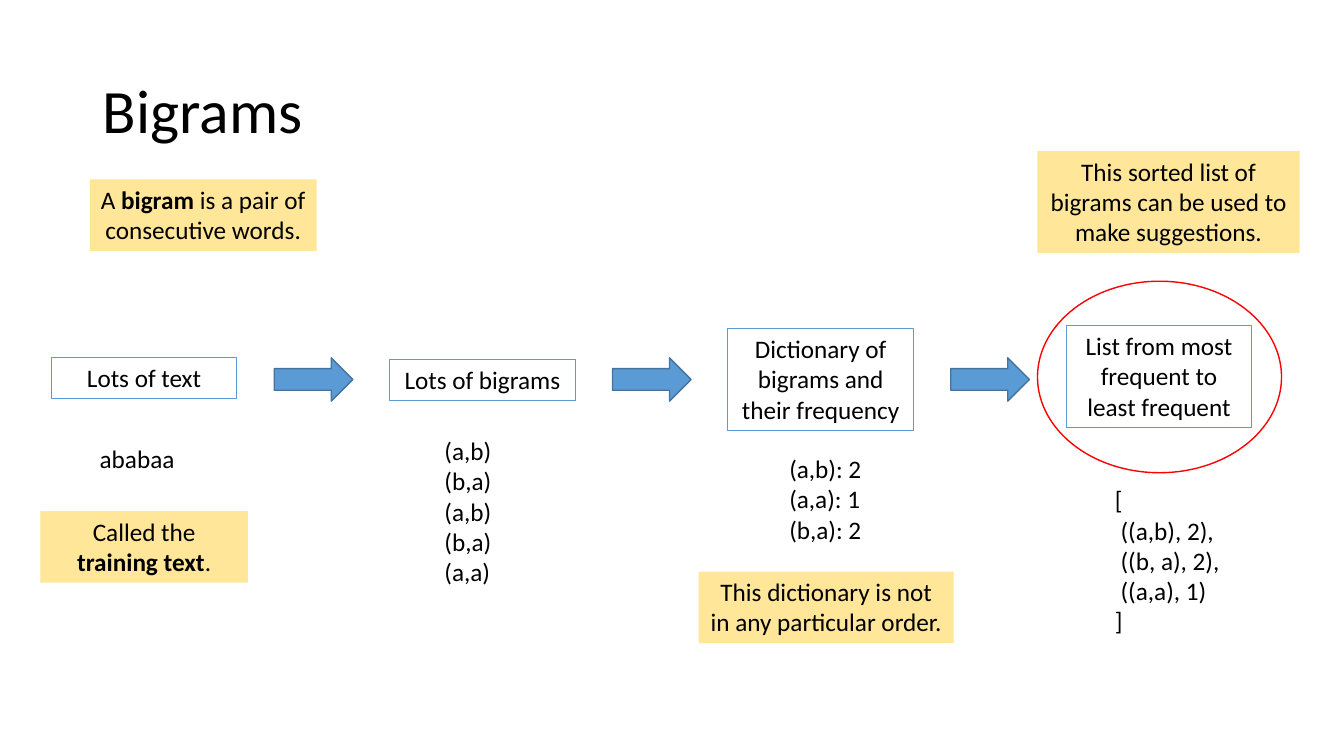
from pptx import Presentation
from pptx.dml.color import RGBColor
from pptx.enum.shapes import MSO_SHAPE as SHAPE
from pptx.enum.text import MSO_ANCHOR as ANCHOR, MSO_AUTO_SIZE as AUTO, PP_ALIGN as ALIGN
from pptx.util import Inches, Pt

BLACK = RGBColor(0x00, 0x00, 0x00)
BLUE = RGBColor(0x5B, 0x9B, 0xD5)
DARK_BLUE = RGBColor(0x43, 0x73, 0x9E)
RED = RGBColor(0xFF, 0x00, 0x00)
YELLOW = RGBColor(0xFF, 0xE6, 0x99)

PITCH = 3.355


class SlideBuilder:
    font = "Calibri"
    size = 18

    def __init__(self, slide):
        self.slide = slide

    def style(self, p, size=None):
        p.font.name = self.font
        p.font.size = Pt(size or self.size)
        p.font.color.rgb = BLACK

    def title(self, text, *box):
        sp = self.slide.shapes.title
        sp.left, sp.top, sp.width, sp.height = map(Inches, box)
        tf = sp.text_frame
        tf.text = text
        tf.vertical_anchor = ANCHOR.MIDDLE
        p = tf.paragraphs[0]
        p.alignment = ALIGN.LEFT
        p.line_spacing = 0.9
        self.style(p, 44)

    def text_box(self, box, wrap):
        sp = self.slide.shapes.add_textbox(*map(Inches, box))
        sp.text_frame.word_wrap = wrap
        sp.text_frame.auto_size = AUTO.SHAPE_TO_FIT_TEXT
        return sp

    def label(self, box, before, bold="", after=""):
        sp = self.text_box(box, True)
        p = sp.text_frame.paragraphs[0]
        p.alignment = ALIGN.CENTER
        self.style(p)
        for text in filter(None, (before, bold, after)):
            r = p.add_run()
            r.text = text
            if text == bold:
                r.font.bold = True
        return sp

    def step(self, text, *box):
        sp = self.label(box, text)
        sp.line.color.rgb = BLUE
        sp.line.width = Pt(0.75)

    def note(self, box, *parts):
        sp = self.label(box, *parts)
        sp.fill.solid()
        sp.fill.fore_color.rgb = YELLOW

    def example(self, text, *box):
        tf = self.text_box(box, False).text_frame
        tf.text = text
        for p in tf.paragraphs:
            self.style(p)

    def outline(self, kind, color, *box):
        sp = self.slide.shapes.add_shape(kind, *map(Inches, box))
        sp.shadow.inherit = False
        sp.fill.background()
        sp.line.color.rgb = color
        sp.line.width = Pt(1)
        return sp

    def arrow(self, *box):
        sp = self.outline(SHAPE.RIGHT_ARROW, DARK_BLUE, *box)
        sp.fill.solid()
        sp.fill.fore_color.rgb = BLUE


def main():
    prs = Presentation()
    prs.slide_width, prs.slide_height = Inches(13.33), Inches(7.5)
    s = SlideBuilder(prs.slides.add_slide(prs.slide_layouts[5]))
    s.title("Bigrams", 0.92, 0.4, 11.5, 1.45)

    steps = [
        ("Lots of text", 3.55, 0.4),
        ("Lots of bigrams", 3.57, 0.4),
        ("Dictionary of bigrams and their frequency", 3.26, 1.01),
        ("List from most frequent to least frequent", 3.23, 1.01),
    ]
    for i, (text, top, height) in enumerate(steps):
        s.step(text, 0.51 + i * PITCH, top, 1.84, height)
    for i in range(len(steps) - 1):
        s.arrow(2.72 + i * PITCH, 3.55, 0.78, 0.43)
    s.outline(SHAPE.OVAL, RED, 10.29, 2.79, 2.42, 1.9)

    s.example("ababaa", 0.89, 4.35, 0.95, 0.4)
    s.example("(a,b)\n(b,a)\n(a,b)\n(b,a)\n(a,a)", 4.31, 4.27, 0.67, 1.62)
    s.example("(a,b): 2\n(a,a): 1\n(b,a): 2", 7.73, 4.45, 0.93, 1.01)
    s.example("[\n ((a,b), 2),\n ((b, a), 2),\n ((a,a), 1)\n]", 10.96, 4.76, 1.26, 1.62)

    s.note((0.89, 1.78, 2.25, 0.71), "A ", "bigram", " is a pair of consecutive words.")
    s.note((10.29, 1.5, 2.6, 1.01),
           "This sorted list of bigrams can be used to make suggestions.")
    s.note((6.93, 5.67, 2.53, 0.71), "This dictionary is not in any particular order.")
    s.note((0.4, 5.07, 2.06, 0.71), "Called the ", "training text", ".")

    prs.save("out.pptx")


if __name__ == "__main__":
    main()
